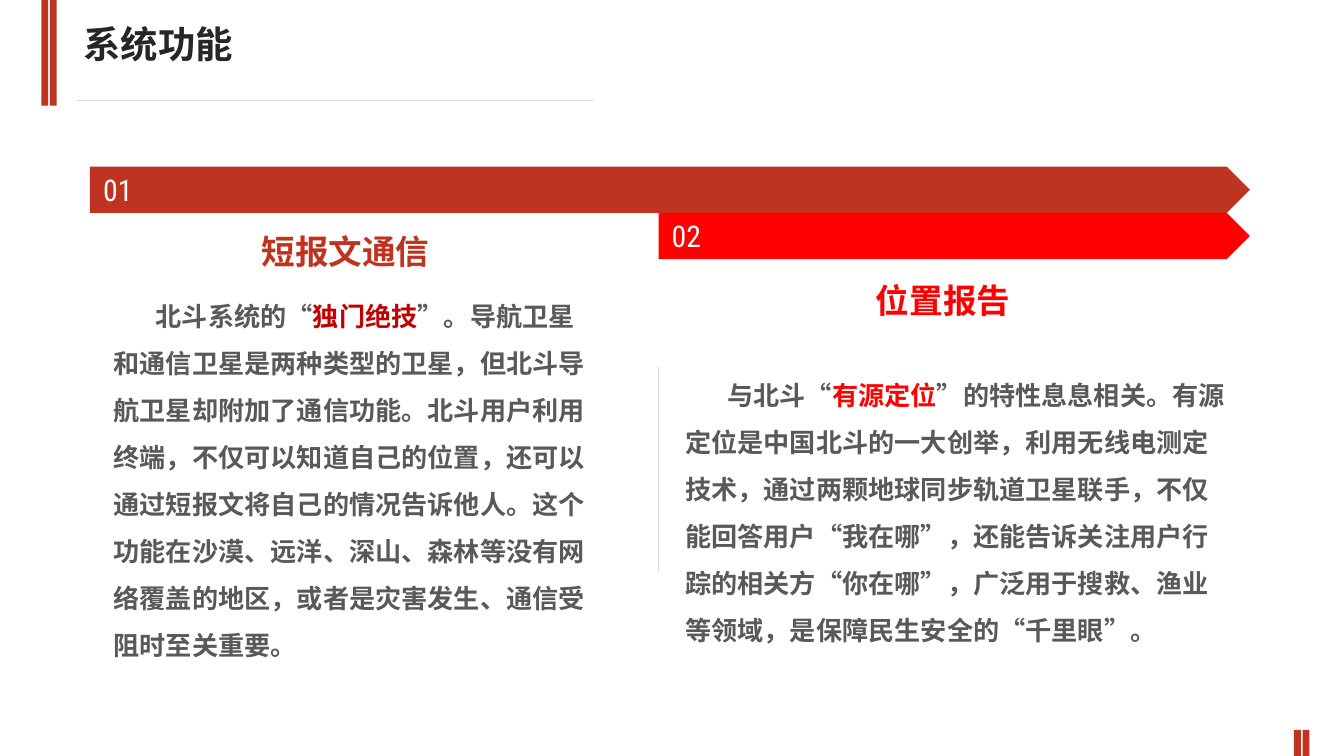
import pptx
import pptx.util
import pptx.dml.color
import pptx.enum.shapes
import pptx.enum.text
import pptx.oxml.ns
from lxml import etree

Pt = pptx.util.Pt
SHAPE = pptx.enum.shapes.MSO_SHAPE
qn = pptx.oxml.ns.qn

HUE = {
    "brick": "BF3420", "red": "FF0000", "deep": "C00000",
    "ink": "262626", "gray": "595959", "rule": "D9D9D9", "white": "FFFFFF",
}
CJK = "Noto Sans CJK SC"
ROBOTO = "Roboto Condensed"
EDGE = 669.6   # shared right tip of both banners
MID = 352.8    # left side of the second column
BAND = 24.8    # banner height


def tint(name):
    return pptx.dml.color.RGBColor.from_string(HUE[name])


def write(frame, runs, size=14, font=CJK, bold=True, space=None, indent=0):
    """Fill a frame with one paragraph of (text, colour) runs."""
    para = frame.paragraphs[0]
    para.alignment = pptx.enum.text.PP_ALIGN.LEFT
    if space:
        para.line_spacing = space
    if indent:
        props = para._p.get_or_add_pPr()
        props.set("marL", "0")
        props.set("indent", str(Pt(indent)))
    for text, hue in runs:
        run = para.add_run()
        run.text = text
        run.font.size = Pt(size)
        run.font.bold = bold
        run.font.name = font
        run.font.color.rgb = tint(hue)
        east = etree.Element(qn("a:ea"), typeface=CJK)
        run.font._element.find(qn("a:latin")).addnext(east)


def add_text(slide, left, top, width, height, runs, **look):
    box = slide.shapes.add_textbox(Pt(left), Pt(top), Pt(width), Pt(height))
    box.text_frame.word_wrap = True
    box.text_frame.auto_size = pptx.enum.text.MSO_AUTO_SIZE.SHAPE_TO_FIT_TEXT
    write(box.text_frame, runs, **look)


def add_block(slide, kind, left, top, width, height, hue):
    block = slide.shapes.add_shape(kind, Pt(left), Pt(top), Pt(width), Pt(height))
    block.shadow.inherit = False
    block.fill.solid()
    block.fill.fore_color.rgb = tint(hue)
    block.line.fill.background()
    return block


def add_bars(slide, left, top, height):
    for step in range(2):
        add_block(slide, SHAPE.RECTANGLE, left + step * 4.6, top, 3.7, height, "brick")


def add_band(slide, left, top, hue, label):
    band = add_block(slide, SHAPE.PENTAGON, left, top, EDGE - left, BAND, hue)
    band.text_frame.vertical_anchor = pptx.enum.text.MSO_ANCHOR.MIDDLE
    write(band.text_frame, [(label, "white")], size=16, font=ROBOTO, bold=False)


def add_rule(slide, *ends):
    kind = pptx.enum.shapes.MSO_CONNECTOR.STRAIGHT
    rule = slide.shapes.add_connector(kind, *map(Pt, ends))
    rule.line.color.rgb = tint("rule")
    rule.line.width = Pt(0.75)
    etree.SubElement(rule._element.spPr, qn("a:effectLst"))


def main():
    deck = pptx.Presentation()
    deck.slide_width, deck.slide_height = Pt(720), Pt(405)
    slide = deck.slides.add_slide(deck.slide_layouts[6])

    # Corner bars
    add_bars(slide, 22.1, 0, 56.7)
    add_bars(slide, 693.2, 391, 14)

    # Title
    add_text(slide, 37.6, 8, 304.6, 31.7, [("系统功能", "ink")], size=20, font=ROBOTO)
    add_rule(slide, 41.2, 53.7, 317.6, 53.7)

    # Banners
    add_band(slide, 48.2, 89.2, "brick", "01")
    add_band(slide, MID, 89.2 + BAND, "red", "02")

    # Column heads
    add_text(slide, 133, 120.2, 149, 29, [("短报文通信", "brick")], size=18)
    add_text(slide, 462.2, 146.2, 149, 29, [("位置报告", "red")], size=18, font="Arial")

    # Column texts
    body = {"space": 1.5, "indent": 22.5}
    add_text(slide, 53.8, 149, 272.2, 208, [
        ("北斗系统的“", "gray"),
        ("独门绝技", "deep"),
        ("”。导航卫星和通信卫星是两种类型的卫星，但北斗导航卫星却附加了通信功能。"
         "北斗用户利用终端，不仅可以知道自己的位置，还可以通过短报文将自己的情况告诉他人。"
         "这个功能在沙漠、远洋、深山、森林等没有网络覆盖的地区，"
         "或者是灾害发生、通信受阻时至关重要。", "gray"),
    ], **body)
    add_text(slide, 360, 191.2, 306, 197, [
        ("与北斗“", "gray"),
        ("有源定位", "red"),
        ("”的特性息息相关。有源定位是中国北斗的一大创举，利用无线电测定技术，"
         "通过两颗地球同步轨道卫星联手，不仅能回答用户“我在哪”，"
         "还能告诉关注用户行踪的相关方“你在哪”，广泛用于搜救、渔业等领域，"
         "是保障民生安全的“千里眼”。", "gray"),
    ], **body)
    add_rule(slide, MID, 196.6, MID, 306.7)

    deck.save("out.pptx")


if __name__ == "__main__":
    main()
